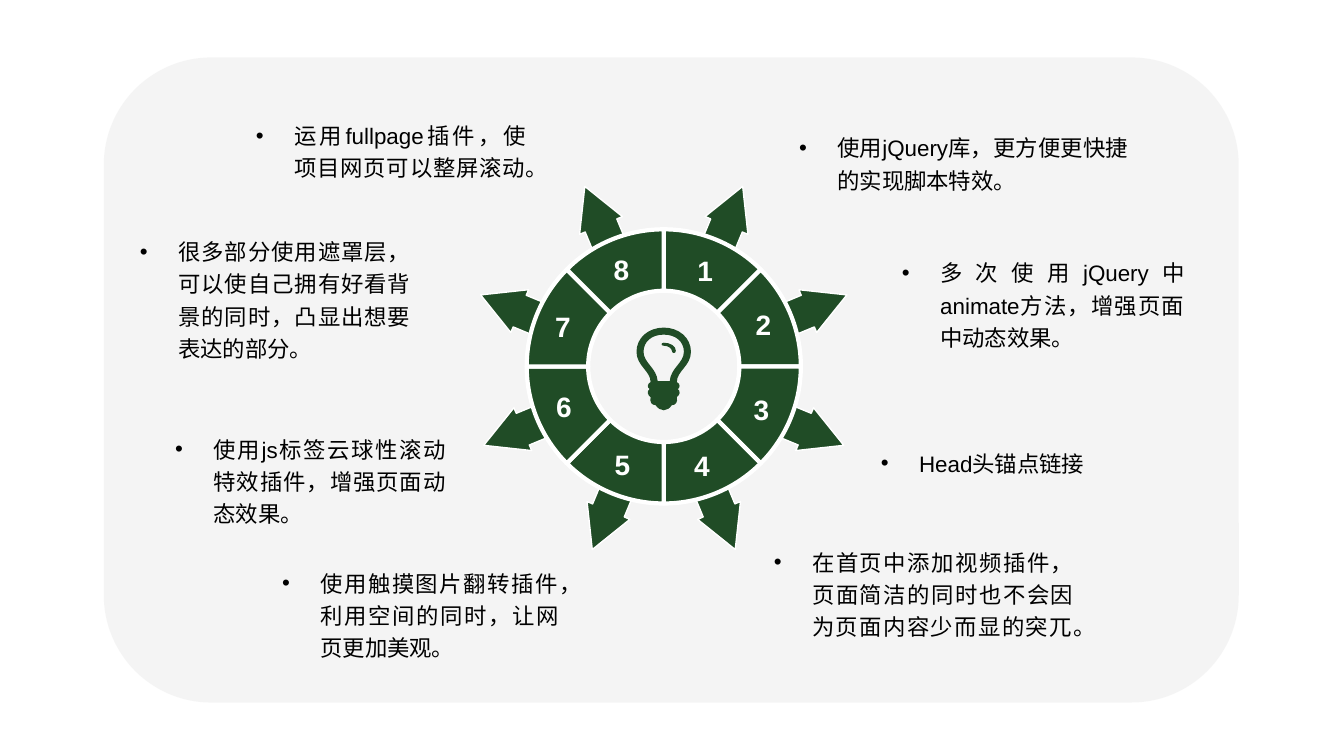
from math import atan, cos, degrees, hypot, radians, sin, tan

from lxml.etree import SubElement
from pptx import Presentation
from pptx.dml.color import RGBColor
from pptx.enum.shapes import MSO_SHAPE
from pptx.enum.text import MSO_ANCHOR, PP_ALIGN
from pptx.oxml.ns import qn
from pptx.util import Inches, Pt

GREEN = RGBColor(0x20, 0x4C, 0x26)
WHITE = RGBColor(0xFF, 0xFF, 0xFF)
BLACK = RGBColor(0, 0, 0)
PANEL_GREY = RGBColor(0xF2, 0xF2, 0xF2)
FONT = "Arial"

# Content: text, (left, top, width) of the note, (left, top) of its number
NOTES = [
    ("使用jQuery库，更方便更快捷的实现脚本特效。",
     (7.83, 1.14, 3.46), (6.73, 2.54)),
    ("多次使用jQuery中 animate方法，增强页面中动态效果。",
     (8.85, 2.54, 3.0), (7.31, 3.07)),
    ("Head头锚点链接", (8.64, 4.11, 2.93), (7.29, 3.92)),
    ("在首页中添加视频插件，页面简洁的同时也不会因为页面内容少而显的突兀。",
     (7.58, 5.41, 3.17), (6.7, 4.47)),
    ("使用触摸图片翻转插件，利用空间的同时，让网页更加美观。",
     (2.7, 5.62, 2.95), (5.91, 4.46)),
    ("使用js标签云球性滚动特效插件，增强页面动态效果。",
     (1.64, 4.29, 2.88), (5.33, 3.89)),
    ("很多部分使用遮罩层，可以使自己拥有好看背景的同时，凸显出想要表达的部分。",
     (1.29, 2.49, 2.88), (5.32, 3.09)),
    ("运用fullpage插件，使项目网页可以整屏滚动。",
     (2.44, 1.02, 2.88), (5.9, 2.53)),
]
NOTE_HEIGHT, NOTE_INDENT = 0.92, 0.38
NUMBER_WIDTH, NUMBER_HEIGHT = 0.53, 0.29

# Wheel geometry
CENTER_X, CENTER_Y = 6.585, 3.635
INNER_RADIUS, OUTER_RADIUS = 0.75, 1.36
STEP = 360 / len(NOTES)
ARC_HANDLE = 4 / 3 * tan(radians(STEP / 4))

# Arrow outline as (sideways, outward) from the wheel centre
ARROW_SHIFT = 0.04
ARROW = [(-0.17, 0.75), (-0.17, 1.53), (-0.23, 1.53), (0, 1.95),
         (0.23, 1.53), (0.17, 1.53), (0.17, 0.75)]

# Bezier points as (offset from axis, y); the bulb has its right half only
BULB_OUTSIDE = [
    (0, 3.25),
    (0.15, 3.25), (0.27, 3.35), (0.27, 3.49),
    (0.27, 3.63), (0.13, 3.68), (0.13, 3.79),
    (0.17, 3.81), (0.16, 3.85), (0.14, 3.86),
    (0.17, 3.88), (0.16, 3.92), (0.13, 3.94),
    (0.14, 3.99), (0.12, 4.02), (0.08, 4.02),
    (0.06, 4.05), (0.03, 4.07), (0, 4.07)]
BULB_INSIDE = [
    (0, 3.32),
    (0.12, 3.32), (0.2, 3.39), (0.2, 3.49),
    (0.2, 3.6), (0.07, 3.65), (0.06, 3.78)]
GLINT = [
    (0, 3.4),
    (0.06, 3.4), (0.12, 3.43), (0.12, 3.48),
    (0.12, 3.51), (0.08, 3.51), (0.08, 3.48),
    (0.08, 3.46), (0.05, 3.43), (0, 3.43),
    (-0.03, 3.43), (-0.03, 3.4), (0, 3.4)]


def polar(radius, angle):
    """Point on the wheel; the angle runs clockwise from the top."""
    return (CENTER_X + radius * sin(radians(angle)),
            CENTER_Y - radius * cos(radians(angle)))


def arc(radius, start, end):
    """Bezier points of one arc, without its first point."""
    turn = degrees(atan(ARC_HANDLE)) * (1 if end > start else -1)
    handle = radius * hypot(1, ARC_HANDLE)
    return (polar(handle, start + turn), polar(handle, end - turn),
            polar(radius, end))


def sector_outline(start):
    end = start + STEP
    return [(polar(OUTER_RADIUS, start),), arc(OUTER_RADIUS, start, end),
            (polar(INNER_RADIUS, end),), arc(INNER_RADIUS, end, start)]


def arrow_outline(angle):
    shift = ARROW_SHIFT if angle < 180 else -ARROW_SHIFT
    across, along = cos(radians(angle)), sin(radians(angle))
    return [((CENTER_X + (side + shift) * across + out * along,
              CENTER_Y + (side + shift) * along - out * across),)
            for side, out in ARROW]


def mirrored(half):
    return [(-x, y) for x, y in reversed(half[1:])] + half


def curve_outline(points):
    placed = [(CENTER_X + x, y) for x, y in points]
    return [(placed[0],)] + [tuple(placed[i:i + 3])
                             for i in range(1, len(placed), 3)]


def add_outline(shapes, *outlines, line_width=None):
    """Closed outlines; a segment is one line end or three Bezier points."""
    contours = [[(Inches(x), Inches(y)) for segment in outline
                 for x, y in segment] for outline in outlines]
    builder = shapes.build_freeform(*contours[0][0], scale=1.0)
    for number, (start, *others) in enumerate(contours):
        if number:
            builder.move_to(*start)
        builder.add_line_segments(others, close=True)
    shape = builder.convert_to_shape()

    # Join each three line ends of a curve into one Bezier segment
    lines = iter(list(shape._element.iter(qn("a:lnTo"))))
    for outline in outlines:
        for segment in outline[1:]:
            parts = [next(lines) for _ in segment]
            if len(parts) == 3:
                parts[0].tag = qn("a:cubicBezTo")
                for part in parts[1:]:
                    parts[0].append(part[0])
                    part.getparent().remove(part)

    shape.shadow.inherit = False
    shape.fill.solid()
    shape.fill.fore_color.rgb = GREEN
    if line_width:
        shape.line.color.rgb = WHITE
        shape.line.width = Pt(line_width)
    else:
        shape.line.fill.background()


def add_text(shapes, text, box, size, color, align, bold=False, bullet=False):
    frame = shapes.add_textbox(*map(Inches, box)).text_frame
    frame.word_wrap = True
    frame.vertical_anchor = MSO_ANCHOR.MIDDLE
    paragraph = frame.paragraphs[0]
    paragraph.text = text
    paragraph.alignment = align
    if bullet:
        paragraph.line_spacing = 1.2
        properties = paragraph._p.get_or_add_pPr()
        properties.set("marL", str(Inches(NOTE_INDENT)))
        properties.set("indent", str(-Inches(NOTE_INDENT)))
        SubElement(properties, qn("a:buFont"), typeface=FONT)
        SubElement(properties, qn("a:buChar"), char="•")
    paragraph.font.name = FONT
    paragraph.font.size = Pt(size)
    paragraph.font.bold = bold
    paragraph.font.color.rgb = color


presentation = Presentation()
presentation.slide_width = Inches(40 / 3)
presentation.slide_height = Inches(7.5)
slide = presentation.slides.add_slide(presentation.slide_layouts[6])
shapes = slide.shapes

# Background panel, 80% opaque
panel = shapes.add_shape(MSO_SHAPE.ROUNDED_RECTANGLE, Inches(1.03),
                         Inches(0.57), Inches(11.26), Inches(6.4))
panel.shadow.inherit = False
panel.fill.solid()
panel.fill.fore_color.rgb = PANEL_GREY
panel.line.fill.background()
SubElement(panel._element.spPr.find(".//" + qn("a:srgbClr")),
           qn("a:alpha"), val="80000")

# Wheel: arrow and sector for each note
for index in range(len(NOTES)):
    start = index * STEP
    add_outline(shapes, arrow_outline(start + STEP / 2), line_width=1)
    add_outline(shapes, sector_outline(start), line_width=3)

# Light bulb
add_outline(shapes, curve_outline(mirrored(BULB_OUTSIDE)),
            curve_outline(mirrored(BULB_INSIDE)))
add_outline(shapes, curve_outline(GLINT))

# Notes and wheel numbers
for number, (text, note_place, number_place) in enumerate(NOTES, start=1):
    add_text(shapes, text, (*note_place, NOTE_HEIGHT), 16, BLACK,
             PP_ALIGN.JUSTIFY, bullet=True)
    add_text(shapes, str(number),
             (*number_place, NUMBER_WIDTH, NUMBER_HEIGHT), 20, WHITE,
             PP_ALIGN.CENTER, bold=True)

presentation.save("out.pptx")
